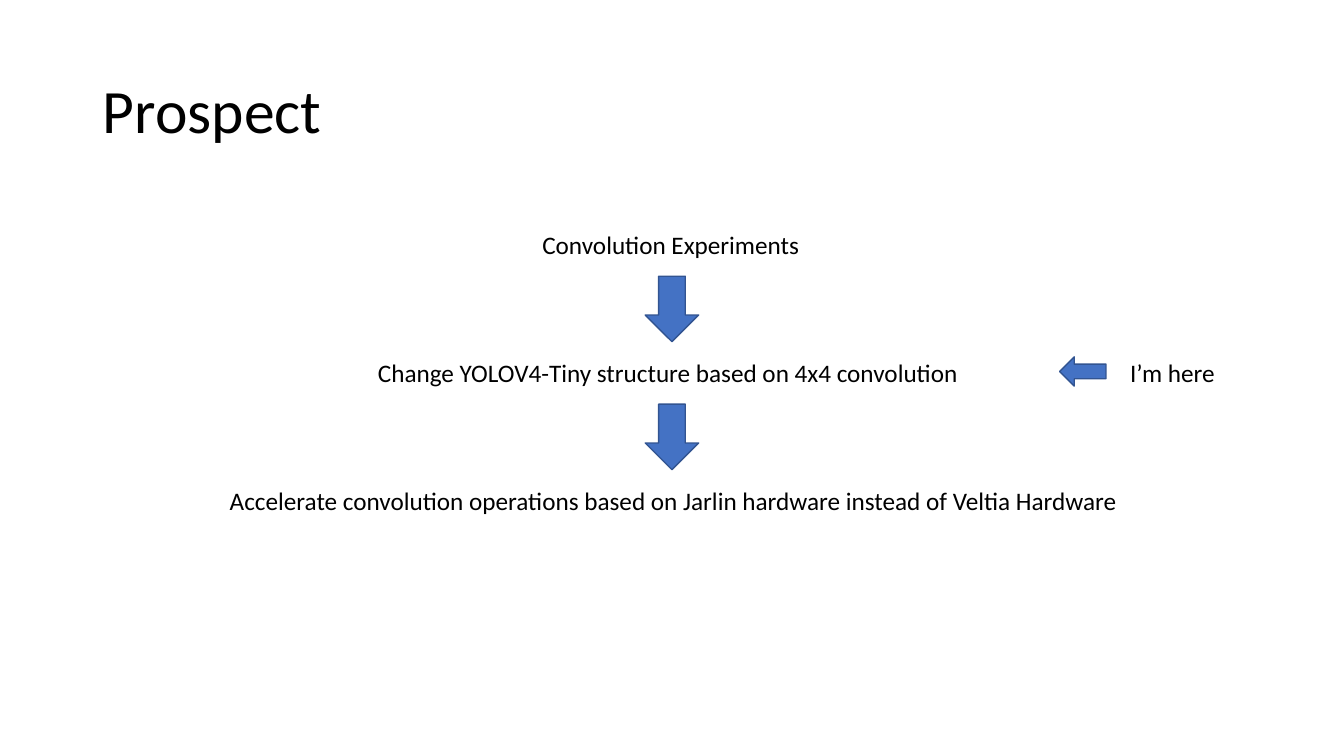
"""Build the Prospect slide: three steps joined by arrows, with a marker at the current step."""
import pptx
import pptx.util
import pptx.dml.color
import pptx.enum.shapes
import pptx.enum.text

TITLE = "Prospect"
STEPS = [
    ("Convolution Experiments", 5.28, 2.78),
    ("Change YOLOV4-Tiny structure based on 4x4 convolution", 3.65, 6.04),
    ("Accelerate convolution operations based on Jarlin hardware instead of Veltia Hardware", 2.18, 9.15),
]
MARKER = ("I’m here", 11.11, 1.05)
CURRENT_STEP = 1

COLORS = {"text": "000000", "arrow": "4472C4", "outline": "325491"}
FONT = "Calibri"
WIDTH, HEIGHT = 13.33, 7.5
FIRST_ROW, ROW_PITCH, ROW_HEIGHT = 2.23, 1.27, 0.4
ARROW_WIDTH, ARROW_HEIGHT, ARROW_DROP = 0.53, 0.65, 0.51

Inches = pptx.util.Inches
ArrowKind = pptx.enum.shapes.MSO_SHAPE


def color(name):
    return pptx.dml.color.RGBColor.from_string(COLORS[name])


def box(*lengths):
    return [Inches(length) for length in lengths]


def row_top(row):
    return FIRST_ROW + row * ROW_PITCH


def write(frame, text, size=18, line_spacing=None):
    paragraph = frame.paragraphs[0]
    paragraph.line_spacing = line_spacing
    run = paragraph.add_run()
    run.text = text
    run.font.name = FONT
    run.font.size = pptx.util.Pt(size)
    run.font.color.rgb = color("text")


def add_label(shapes, text, left, width, row):
    frame = shapes.add_textbox(*box(left, row_top(row), width, ROW_HEIGHT)).text_frame
    frame.word_wrap = False
    frame.auto_size = pptx.enum.text.MSO_AUTO_SIZE.SHAPE_TO_FIT_TEXT
    write(frame, text)


def add_arrow(shapes, kind, left, top, width, height):
    arrow = shapes.add_shape(kind, *box(left, top, width, height))
    arrow.shadow.inherit = False
    arrow.fill.solid()
    arrow.fill.fore_color.rgb = color("arrow")
    arrow.line.color.rgb = color("outline")
    arrow.line.width = pptx.util.Pt(1)


def main():
    presentation = pptx.Presentation()
    presentation.slide_width, presentation.slide_height = box(WIDTH, HEIGHT)
    slide = presentation.slides.add_slide(presentation.slide_layouts[5])

    title = slide.shapes.title
    title.left, title.top, title.width, title.height = box(0.92, 0.4, 11.5, 1.45)
    title.text_frame.vertical_anchor = pptx.enum.text.MSO_ANCHOR.MIDDLE
    write(title.text_frame, TITLE, size=44, line_spacing=0.9)
    title.text_frame.paragraphs[0].alignment = pptx.enum.text.PP_ALIGN.LEFT

    for row, (text, left, width) in enumerate(STEPS):
        add_label(slide.shapes, text, left, width, row)
    for row in range(len(STEPS) - 1):
        add_arrow(slide.shapes, ArrowKind.DOWN_ARROW, (WIDTH - ARROW_WIDTH) / 2,
                  row_top(row) + ARROW_DROP, ARROW_WIDTH, ARROW_HEIGHT)

    marker = slide.shapes.add_group_shape()
    add_label(marker.shapes, *MARKER, CURRENT_STEP)
    add_arrow(marker.shapes, ArrowKind.LEFT_ARROW, 10.51, row_top(CURRENT_STEP) + 0.04, 0.46, 0.29)

    presentation.save("out.pptx")


if __name__ == "__main__":
    main()
